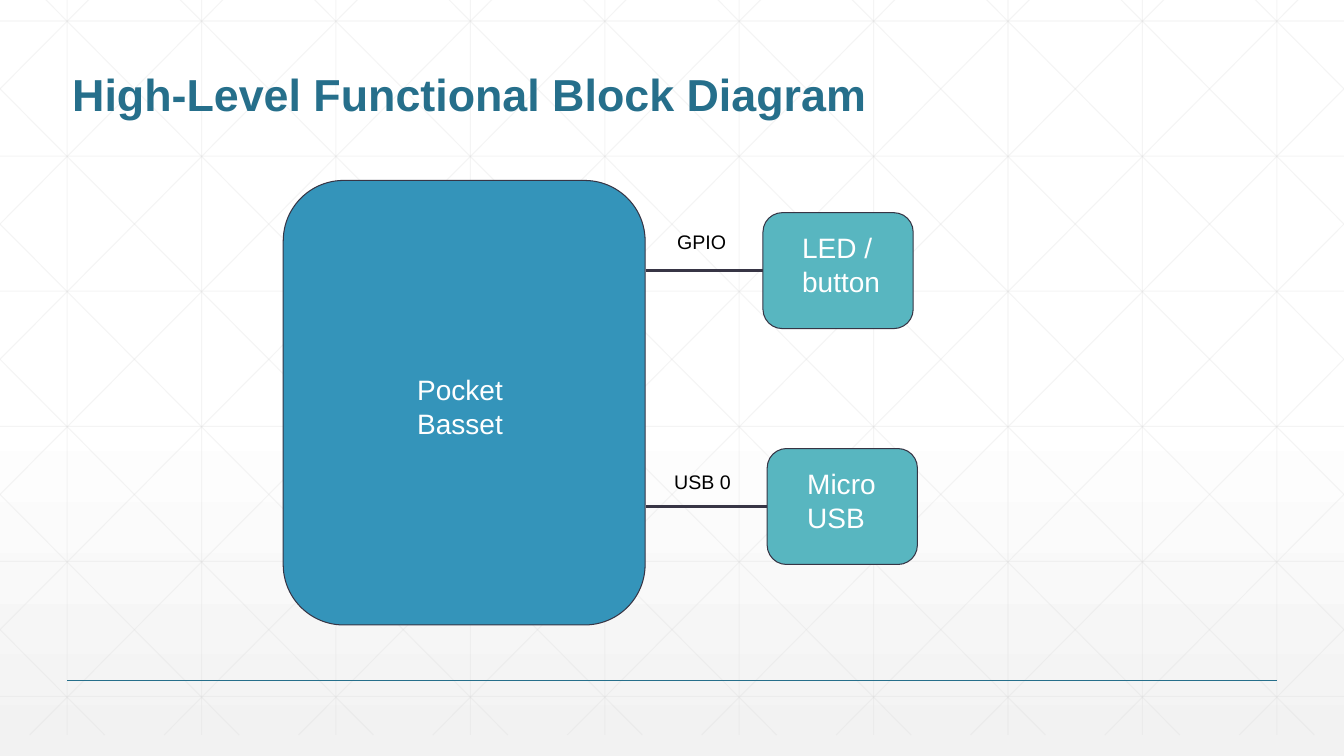
from copy import deepcopy

from pptx import Presentation
from pptx.dml.color import RGBColor
from pptx.enum.shapes import MSO_CONNECTOR as CONNECTOR, MSO_SHAPE as SHAPE
from pptx.enum.text import MSO_ANCHOR as ANCHOR, MSO_AUTO_SIZE as AUTO_SIZE
from pptx.oxml.ns import qn
from pptx.util import Pt

WIDTH, HEIGHT = 960, 540
LEFT, RIGHT = 48, 912
TEAL, BLUE, AQUA = "266F8B", "3494BA", "58B6C0"
DARK, GREY, WHITE, BLACK = "373545", "D8D8D8", "FFFFFF", "000000"
rgb = RGBColor.from_string

prs = Presentation()
prs.slide_width, prs.slide_height = Pt(WIDTH), Pt(HEIGHT)
slide = prs.slides.add_slide(prs.slide_layouts[6])
shapes = slide.shapes


def add_line(x1, y1, x2, y2, color, width, opacity=100):
    line = shapes.add_connector(CONNECTOR.STRAIGHT, Pt(x1), Pt(y1), Pt(x2), Pt(y2))
    line.line.width = Pt(width)
    line.line.color.rgb = rgb(color)
    properties = line._element.spPr
    if opacity < 100:
        fill_color = properties.find(".//" + qn("a:srgbClr"))
        alpha = fill_color.makeelement(qn("a:alpha"), {"val": str(opacity * 1000)})
        fill_color.append(alpha)
    properties.append(properties.makeelement(qn("a:effectLst"), {}))
    return line


def add_text(text, x, y, w, h, size=20, color=WHITE, bold=False, inset=7.2,
             anchor=ANCHOR.TOP, spacing=1.0, fit=AUTO_SIZE.SHAPE_TO_FIT_TEXT):
    frame = shapes.add_textbox(Pt(x), Pt(y), Pt(w), Pt(h)).text_frame
    frame.word_wrap = True
    frame.auto_size = fit
    frame.vertical_anchor = anchor
    frame.margin_left = frame.margin_right = Pt(inset)
    frame.margin_top = frame.margin_bottom = Pt(inset)
    paragraph = frame.paragraphs[0]
    paragraph.line_spacing = spacing
    run = paragraph.add_run()
    run.text = text
    run.font.name = "Arial"
    run.font.size = Pt(size)
    run.font.bold = bold
    run.font.color.rgb = rgb(color)


# Background: white fading to pale grey at the bottom
backdrop = slide.background.fill
backdrop.gradient()
backdrop.gradient_angle = 270
stop_list = slide.element.find(".//" + qn("a:gsLst"))
stop_list.insert(1, deepcopy(stop_list[0]))
for stop, (position, color) in zip(
        backdrop.gradient_stops, [(0, WHITE), (0.53, WHITE), (1, "F2F2F2")]):
    stop.position = position
    stop.color.rgb = rgb(color)

# Faint grid: verticals, horizontals and mirrored diagonals
STEP, GRID_TOP, GRID_BOTTOM = 96, -15, 525
SLOPE = 1.006
grid = [(x, GRID_TOP, x, GRID_BOTTOM) for x in range(LEFT, RIGHT + 1, STEP)]
grid += [(0, 15 + 96.5 * row, WIDTH, 15 + 96.5 * row) for row in range(6)]
for k in range(-5, 10):
    start = 18 + STEP * k
    x1 = max(start, 0)
    x2 = min(start + (GRID_BOTTOM - GRID_TOP) / SLOPE, WIDTH)
    y1, y2 = (GRID_TOP + (x - start) * SLOPE for x in (x1, x2))
    grid += [(x1, y1, x2, y2), (WIDTH - x1, y1, WIDTH - x2, y2)]
for ends in grid:
    add_line(*ends, GREY, 0.75, opacity=25)

# Footer rule and title
add_line(LEFT, 486, RIGHT, 486, TEAL, 1)
add_text("High-Level Functional Block Diagram", LEFT, 18, 864, 72, size=32,
         color=TEAL, bold=True, inset=3.6, anchor=ANCHOR.BOTTOM, spacing=0.9,
         fit=AUTO_SIZE.NONE)

# Blocks: text, box, text area, fill
blocks = [
    ("Pocket Basset", (202.3, 128.9, 258.5, 317.5), (290.9, 259.2, 82.1, 59.8), BLUE),
    ("LED / button", (545, 151.9, 107.3, 82.8), (565.9, 157.7, 95.8, 59.8), AQUA),
    ("Micro USB", (548, 320.4, 107.3, 82.8), (569.5, 326.2, 95.8, 59.8), AQUA),
]
boxes = []
for text, box_area, text_area, color in blocks:
    box = shapes.add_shape(SHAPE.ROUNDED_RECTANGLE, *map(Pt, box_area))
    box.adjustments[0] = 0.167
    box.shadow.inherit = False
    box.fill.solid()
    box.fill.fore_color.rgb = rgb(color)
    box.line.color.rgb = rgb(DARK)
    box.line.width = Pt(0.75)
    boxes.append(box)
    add_text(text, *text_area)

# Links from the board to each peripheral
board, led_button, micro_usb = boxes
links = [
    ("USB 0", (474.5, 328.3, 69.1, 30.2), micro_usb),
    ("GPIO", (476.6, 157, 52.6, 30.2), led_button),
]
for label, label_area, peripheral in links:
    y = (peripheral.top + peripheral.height / 2) / Pt(1)
    link = add_line(461.5, y, peripheral.left / Pt(1), y, DARK, 2.25)
    link.end_connect(peripheral, 1)
    add_text(label, *label_area, size=14, color=BLACK)

prs.save("out.pptx")
